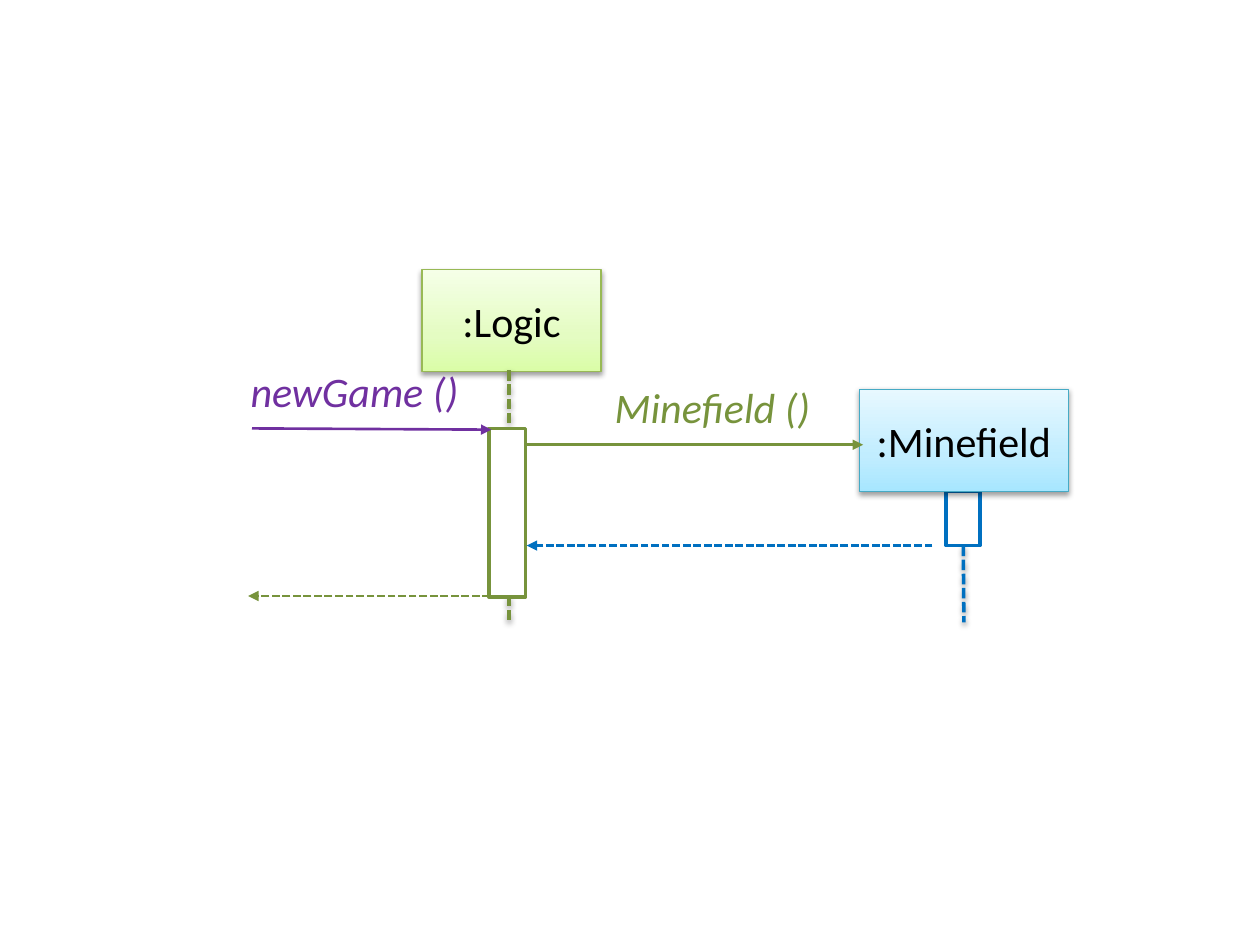
"""Build a sequence diagram of a new game creating its minefield."""
from copy import deepcopy

from lxml import etree
from pptx import Presentation
from pptx import util as u
from pptx.dml.color import RGBColor
from pptx.enum import dml, shapes, text
from pptx.oxml.ns import qn

COLORS = {
    "black": "000000", "white": "FFFFFF",
    "green": "77933C", "blue": "0070C0", "purple": "7030A0",
    "green edge": "98B955", "blue edge": "46AAC5",
}
GRADIENTS = {
    "green": ("DAFDA7", "E4FCC2", "F5FFE7"),
    "blue": ("A7E6FF", "C1EDFF", "E7F8FF"),
}
STOPS = (0, 0.35, 1)


class SequenceDiagram:
    """Holds the style and the slide, and draws each kind of element."""

    font = {"name": "Calibri", "size": u.Pt(24)}

    def __init__(self, slide):
        self.slide = slide

    def color(self, name):
        return RGBColor.from_string(COLORS[name])

    def outline(self, item, color, width, dashed=False):
        item.line.color.rgb = self.color(color)
        item.line.width = u.Pt(width)
        if dashed:
            item.line.dash_style = dml.MSO_LINE.SQUARE_DOT

    def effects(self, item, shadow=False):
        effects = etree.SubElement(item._element.spPr, qn("a:effectLst"))
        if shadow:
            outer = etree.SubElement(effects, qn("a:outerShdw"), blurRad="40000",
                                     dist="20000", dir="5400000", rotWithShape="0")
            tint = etree.SubElement(outer, qn("a:srgbClr"), val=COLORS["black"])
            etree.SubElement(tint, qn("a:alpha"), val="38000")

    def add_words(self, box, words, color, inset, **formats):
        frame = box.text_frame
        layout = {
            "word_wrap": True, "auto_size": text.MSO_AUTO_SIZE.SHAPE_TO_FIT_TEXT,
            "margin_top": u.Inches(inset), "margin_bottom": u.Inches(inset),
        }
        for key, value in layout.items():
            setattr(frame, key, value)
        para = frame.paragraphs[0]
        span = para.add_run()
        span.text = words
        for key, value in {**self.font, **formats}.items():
            setattr(span.font, key, value)
        span.font.color.rgb = self.color(color)
        return para

    def rectangle(self, left, top, width, height):
        return self.slide.shapes.add_shape(
            shapes.MSO_SHAPE.RECTANGLE, *map(u.Inches, (left, top, width, height)))

    def participant(self, words, left, top, width, color):
        box = self.rectangle(left, top, width, 0.81)
        box.fill.gradient()
        box.fill.gradient_angle = 90
        stops = box._element.spPr.find(".//" + qn("a:gsLst"))
        stops.insert(1, deepcopy(stops[0]))
        for stop, position, shade in zip(box.fill.gradient_stops, STOPS, GRADIENTS[color]):
            stop.position = position
            stop.color.rgb = RGBColor.from_string(shade)
        self.outline(box, color + " edge", 0.75)
        self.effects(box, shadow=True)
        para = self.add_words(box, words, "black", 0.2)
        para.alignment = text.PP_ALIGN.CENTER

    def activation(self, left, top, width, height, color):
        bar = self.rectangle(left, top, width, height)
        bar.fill.solid()
        bar.fill.fore_color.rgb = self.color("white")
        self.outline(bar, color, 2)
        self.effects(bar)
        return bar

    def connector(self, start, end, color, width, dashed=False, shadow=False):
        line = self.slide.shapes.add_connector(
            shapes.MSO_CONNECTOR.STRAIGHT, *map(u.Inches, (*start, *end)))
        self.outline(line, color, width, dashed)
        self.effects(line, shadow)
        return line

    def lifeline(self, x, top, color):
        return self.connector((x, top), (x, 4.94), color, 2, dashed=True, shadow=True)

    def message(self, start, end, color, dashed=False):
        arrow = self.connector(start, end, color, 1.5, dashed)
        etree.SubElement(arrow.line._get_or_add_ln(), qn("a:tailEnd"), type="triangle")

    def label(self, words, left, top, width, color):
        box = self.slide.shapes.add_textbox(*map(u.Inches, (left, top, width, 0.5)))
        self.add_words(box, words, color, 0.05, italic=True)


def main():
    deck = Presentation()
    deck.slide_width, deck.slide_height = u.Inches(10), u.Inches(7.5)
    page = SequenceDiagram(deck.slides.add_slide(deck.slide_layouts[6]))

    minefield_bar = page.activation(7.51, 3.9, 0.27, 0.43, "blue")
    page.lifeline(7.65, 4.33, "blue").begin_connect(minefield_bar, 2)
    page.participant(":Minefield", 6.82, 3.09, 1.66, "blue")

    page.participant(":Logic", 3.35, 2.14, 1.42, "green")
    page.lifeline(4.04, 2.94, "green")
    page.activation(3.88, 3.4, 0.29, 1.34, "green")

    page.label("Minefield ()", 4.78, 2.98, 1.91, "green")
    page.message((7.4, 4.33), (4.18, 4.33), "blue", dashed=True)
    page.label("newGame ()", 1.89, 2.85, 1.87, "purple")
    page.message((2, 3.4), (3.9, 3.41), "purple")
    page.message((4.18, 3.53), (6.85, 3.53), "green")
    page.message((3.89, 4.73), (1.97, 4.73), "green", dashed=True)

    deck.save("out.pptx")


if __name__ == "__main__":
    main()
